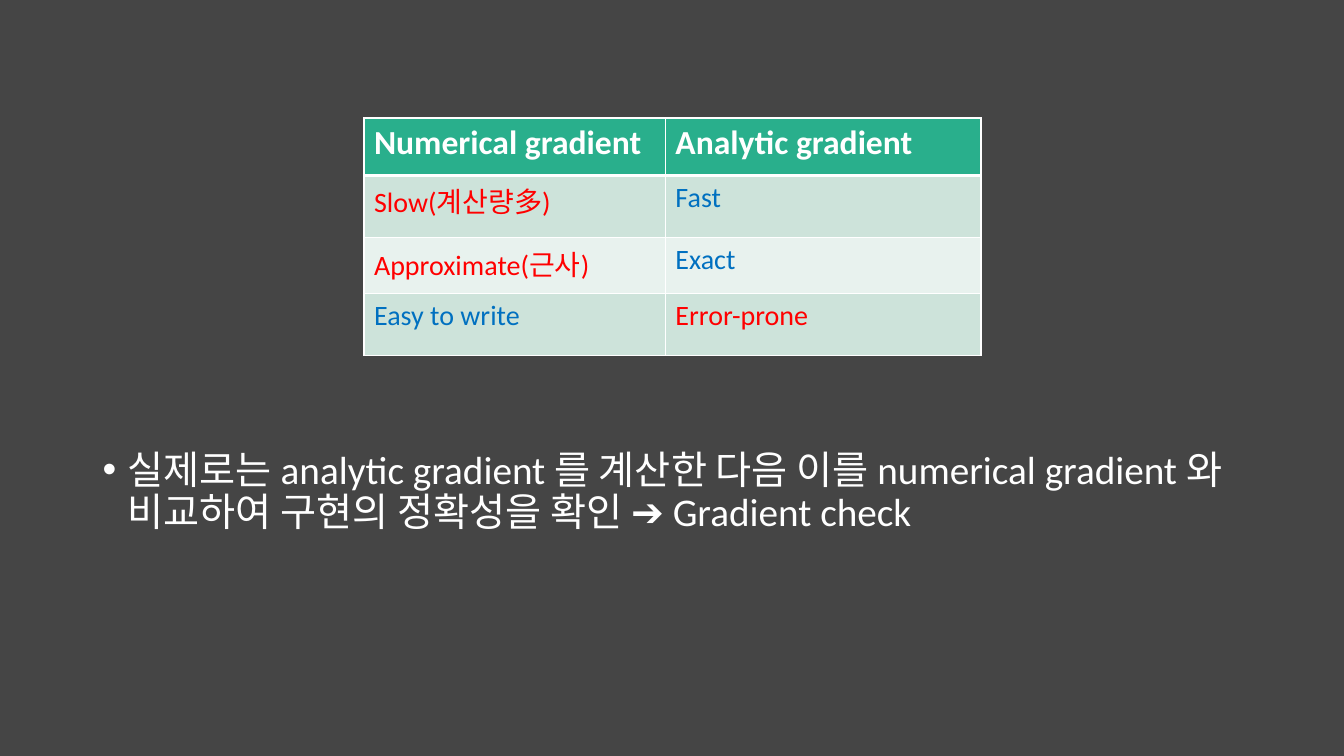
from lxml import etree
from pptx import Presentation
from pptx.dml.color import RGBColor
from pptx.oxml.ns import qn
from pptx.util import Inches, Pt

FONT = "Calibri"
WHITE, RED, BLUE = "FFFFFF", "FF0000", "0070C0"
HEADER_FILL, DARK_BAND, LIGHT_BAND = "29AF8C", "CDE3DA", "E8F2EE"


def add_run(paragraph, text, size, color, bold=False):
    run = paragraph.add_run()
    run.text = text
    run.font.name = FONT
    run.font.size = Pt(size)
    run.font.bold = bold
    run.font.color.rgb = RGBColor.from_string(color)


def set_borders(cell, widths):
    """Draw white cell borders; widths are points for left, right, top, bottom."""
    properties = cell._tc.get_or_add_tcPr()
    for position, (side, width) in enumerate(zip("LRTB", widths)):
        line = etree.Element(qn(f"a:ln{side}"), w=str(Pt(width)))
        fill = etree.SubElement(line, qn("a:solidFill"))
        etree.SubElement(fill, qn("a:srgbClr"), val=WHITE)
        properties.insert(position, line)


prs = Presentation()
prs.slide_width, prs.slide_height = Inches(13.33), Inches(7.5)
slide = prs.slides.add_slide(prs.slide_layouts[6])
slide.background.fill.solid()
slide.background.fill.fore_color.rgb = RGBColor.from_string("454545")

# Comparison of the two gradients
comparison = [
    [("Numerical gradient", WHITE), ("Analytic gradient", WHITE)],
    [("Slow(계산량多)", RED), ("Fast", BLUE)],
    [("Approximate(근사)", RED), ("Exact", BLUE)],
    [("Easy to write", BLUE), ("Error-prone", RED)],
]
row_heights = [0.57, 0.62, 0.55, 0.62]
column_widths = [2.99, 3.13]
table = slide.shapes.add_table(
    len(row_heights), len(column_widths), Inches(3.61), Inches(1.17),
    Inches(sum(column_widths)), Inches(sum(row_heights))).table
for column, width in zip(table.columns, column_widths):
    column.width = Inches(width)

for r, entries in enumerate(comparison):
    table.rows[r].height = Inches(row_heights[r])
    is_header = r == 0
    band = HEADER_FILL if is_header else DARK_BAND if r % 2 else LIGHT_BAND
    for c, (text, color) in enumerate(entries):
        cell = table.cell(r, c)
        cell.fill.solid()
        cell.fill.fore_color.rgb = RGBColor.from_string(band)
        set_borders(cell, (1, 1, 3 if r == 1 else 1, 3 if is_header else 1))
        add_run(cell.text_frame.paragraphs[0], text,
                24 if is_header else 20, color, is_header)

# Takeaway below the table
takeaway = slide.shapes.add_textbox(
    Inches(0.92), Inches(4.42), Inches(11.5), Inches(1.01)).text_frame
takeaway.word_wrap = True
bullet = takeaway.paragraphs[0]
bullet.line_spacing = 0.9
bullet_properties = bullet._p.get_or_add_pPr()
bullet_properties.set("marL", str(Inches(0.25)))
bullet_properties.set("indent", str(Inches(-0.25)))
etree.SubElement(bullet_properties, qn("a:buFont"), typeface="Arial")
etree.SubElement(bullet_properties, qn("a:buChar"), char="•")
add_run(bullet, "실제로는 analytic gradient 를 계산한 다음 이를 numerical gradient "
        "와 비교하여 구현의 정확성을 확인 ➔ Gradient check", 28, WHITE)

prs.save("out.pptx")
